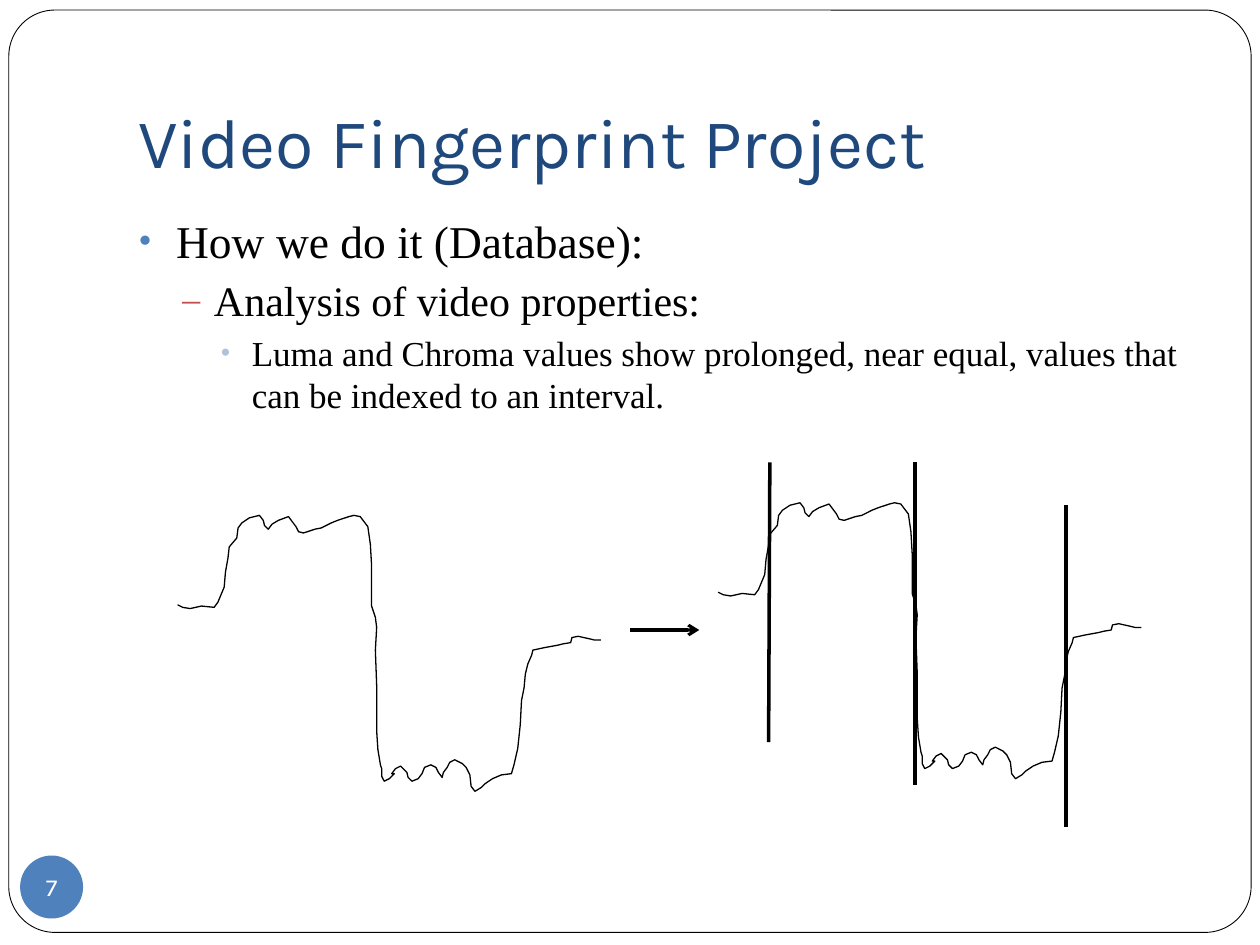
from lxml import etree
from pptx import Presentation
from pptx.dml.color import RGBColor
from pptx.enum.shapes import MSO_CONNECTOR, MSO_SHAPE
from pptx.enum.text import MSO_ANCHOR, PP_ALIGN
from pptx.oxml.ns import qn
from pptx.util import Inches, Pt

STRAIGHT = MSO_CONNECTOR.STRAIGHT
ROUNDED, OVAL = MSO_SHAPE.ROUNDED_RECTANGLE, MSO_SHAPE.OVAL
BOTTOM, MIDDLE, TOP = MSO_ANCHOR.BOTTOM, MSO_ANCHOR.MIDDLE, MSO_ANCHOR.TOP
LEFT, CENTER = PP_ALIGN.LEFT, PP_ALIGN.CENTER

COLORS = {
    "white": "FFFFFF", "black": "000000", "title": "1F497D",
    "blue": "4F81BD", "red": "C0504D", "pale": "B2C1DB",
}
HEADING_FONT, BODY_FONT = "Karla", "Times New Roman"

# text, size, left margin, hanging indent, space before, bullet, bullet colour
BULLETS = [
    ("How we do it (Database):", 26, 0.3, 0.3, 0, "•", "blue"),
    ("Analysis of video properties:", 24, 0.6, 0.25, 3.8, "–", "red"),
    ("Luma and Chroma values show prolonged, near equal, values that "
     "can be indexed to an interval.", 20, 0.9, 0.25, 3.8, "•", "pale"),
]

# Signal curve in inches, as it stands on the left
SIGNAL = [
    (1.41, 4.8), (1.45, 4.82), (1.51, 4.83), (1.6, 4.81), (1.7, 4.82),
    (1.73, 4.78), (1.78, 4.66), (1.79, 4.54), (1.81, 4.43), (1.82, 4.34),
    (1.88, 4.27), (1.89, 4.19), (1.92, 4.15), (1.98, 4.11), (2.06, 4.09),
    (2.09, 4.13), (2.1, 4.17), (2.13, 4.2), (2.16, 4.16), (2.21, 4.13),
    (2.29, 4.1), (2.35, 4.18), (2.37, 4.22), (2.41, 4.23), (2.5, 4.2),
    (2.55, 4.19), (2.63, 4.15), (2.68, 4.13), (2.77, 4.1), (2.81, 4.09),
    (2.86, 4.1), (2.92, 4.18), (2.94, 4.32), (2.95, 4.49), (2.95, 4.81),
    (2.98, 4.9), (2.99, 4.98), (2.98, 5.16), (2.99, 5.44), (2.99, 5.8),
    (3, 5.95), (3.02, 6.07), (3.03, 6.1), (3.03, 6.16), (3.05, 6.2),
    (3.09, 6.18), (3.13, 6.14), (3.11, 6.14), (3.14, 6.1), (3.18, 6.08),
    (3.23, 6.13), (3.24, 6.17), (3.27, 6.2), (3.32, 6.18), (3.35, 6.14),
    (3.37, 6.09), (3.42, 6.07), (3.46, 6.09), (3.48, 6.13), (3.51, 6.17),
    (3.52, 6.13), (3.55, 6.09), (3.57, 6.05), (3.61, 6.03), (3.67, 6.06),
    (3.7, 6.09), (3.73, 6.15), (3.74, 6.24), (3.77, 6.28), (3.82, 6.25),
    (3.85, 6.22), (3.91, 6.18), (3.98, 6.15), (4.06, 6.14), (4.08, 6.07),
    (4.11, 5.94), (4.13, 5.75), (4.14, 5.56), (4.16, 5.46), (4.17, 5.35),
    (4.19, 5.27), (4.22, 5.2), (4.23, 5.16), (4.32, 5.14), (4.43, 5.12),
    (4.47, 5.11), (4.53, 5.1), (4.54, 5.06), (4.59, 5.05), (4.68, 5.07),
    (4.72, 5.08), (4.77, 5.08),
]
CUTS = [
    ((6.11, 3.67), (6.1, 5.89)),
    ((7.26, 3.67), (7.26, 6.23)),
    ((8.46, 4.01), (8.46, 6.56)),
]


def color(name):
    return RGBColor.from_string(COLORS[name])


def set_line(shape, width):
    shape.line.color.rgb = color("black")
    shape.line.width = Pt(width)


def add_panel(page, kind, place, fill):
    shape = page.shapes.add_shape(kind, *map(Inches, place))
    shape.shadow.inherit = False
    shape.fill.solid()
    shape.fill.fore_color.rgb = color(fill)
    return shape


def set_frame(shape, anchor, insets, wrap=True):
    frame = shape.text_frame
    values = dict(zip(
        ("margin_left", "margin_top", "margin_right", "margin_bottom"),
        map(Inches, insets)))
    values.update(vertical_anchor=anchor, word_wrap=wrap)
    for name, value in values.items():
        setattr(frame, name, value)
    return frame


def write(para, text, size, font, ink, align=LEFT):
    para.alignment = align
    span = para.add_run()
    span.text = text
    for name, value in {"size": Pt(size), "name": font}.items():
        setattr(span.font, name, value)
    span.font.color.rgb = color(ink)


def add_bullet(para, margin, hanging, mark, ink):
    props = para._p.get_or_add_pPr()
    props.set("marL", str(Inches(margin)))
    props.set("indent", str(-Inches(hanging)))
    tint = etree.SubElement(props, qn("a:buClr"))
    etree.SubElement(tint, qn("a:srgbClr"), val=COLORS[ink])
    etree.SubElement(props, qn("a:buSzPct"), val="85000")
    etree.SubElement(props, qn("a:buFont"), typeface=BODY_FONT)
    etree.SubElement(props, qn("a:buChar"), char=mark)


def add_body(page):
    box = page.shapes.add_textbox(*map(Inches, (1, 1.64, 8.5, 4.94)))
    frame = set_frame(box, TOP, (0.1, 0.05, 0.1, 0.05))
    for index, item in enumerate(BULLETS):
        text, size, margin, hanging, before, mark, ink = item
        para = frame.add_paragraph() if index else frame.paragraphs[0]
        add_bullet(para, margin, hanging, mark, ink)
        para.space_before = Pt(before)
        write(para, text, size, BODY_FONT, "black")


def add_signal(page, shift_x=0, shift_y=0):
    points = [(Inches(x + shift_x), Inches(y + shift_y)) for x, y in SIGNAL]
    builder = page.shapes.build_freeform(*points[0])
    builder.add_line_segments(points[1:], close=False)
    shape = builder.convert_to_shape()
    shape.shadow.inherit = False
    shape.fill.background()
    set_line(shape, 0.75)


def add_line(page, start, end, width, arrow=False):
    line = page.shapes.add_connector(STRAIGHT, *map(Inches, start + end))
    set_line(line, width)
    if arrow:
        etree.SubElement(line.line._get_or_add_ln(), qn("a:tailEnd"), type="arrow")
    etree.SubElement(line._element.spPr, qn("a:effectLst"))


def main():
    deck = Presentation()
    deck.slide_width, deck.slide_height = Inches(10), Inches(7.5)
    page = deck.slides.add_slide(deck.slide_layouts[6])

    # Slide border
    border = add_panel(page, ROUNDED, (0.07, 0.08, 9.86, 7.32), "white")
    border.adjustments[0] = 0.05
    set_line(border, 0.5)

    # Title and bullets
    title = page.shapes.add_textbox(*map(Inches, (1, 0.3, 8.5, 1.25)))
    frame = set_frame(title, BOTTOM, (0.1, 0.05, 0.1, 0.1))
    write(frame.paragraphs[0], "Video Fingerprint Project", 40, HEADING_FONT, "title")
    add_body(page)

    # Page number
    badge = add_panel(page, OVAL, (0.16, 6.79, 0.5, 0.5), "blue")
    badge.line.fill.background()
    frame = set_frame(badge, MIDDLE, (0, 0, 0, 0), wrap=False)
    write(frame.paragraphs[0], "7", 14, HEADING_FONT, "white", CENTER)

    # Signal cut into intervals, on the right
    add_signal(page, 4.29, -0.1)
    for start, end in CUTS:
        add_line(page, start, end, 2)

    # Plain signal on the left, and the arrow between the two
    add_signal(page)
    add_line(page, (5, 5), (5.55, 5), 1.75, arrow=True)

    deck.save("out.pptx")


if __name__ == "__main__":
    main()
